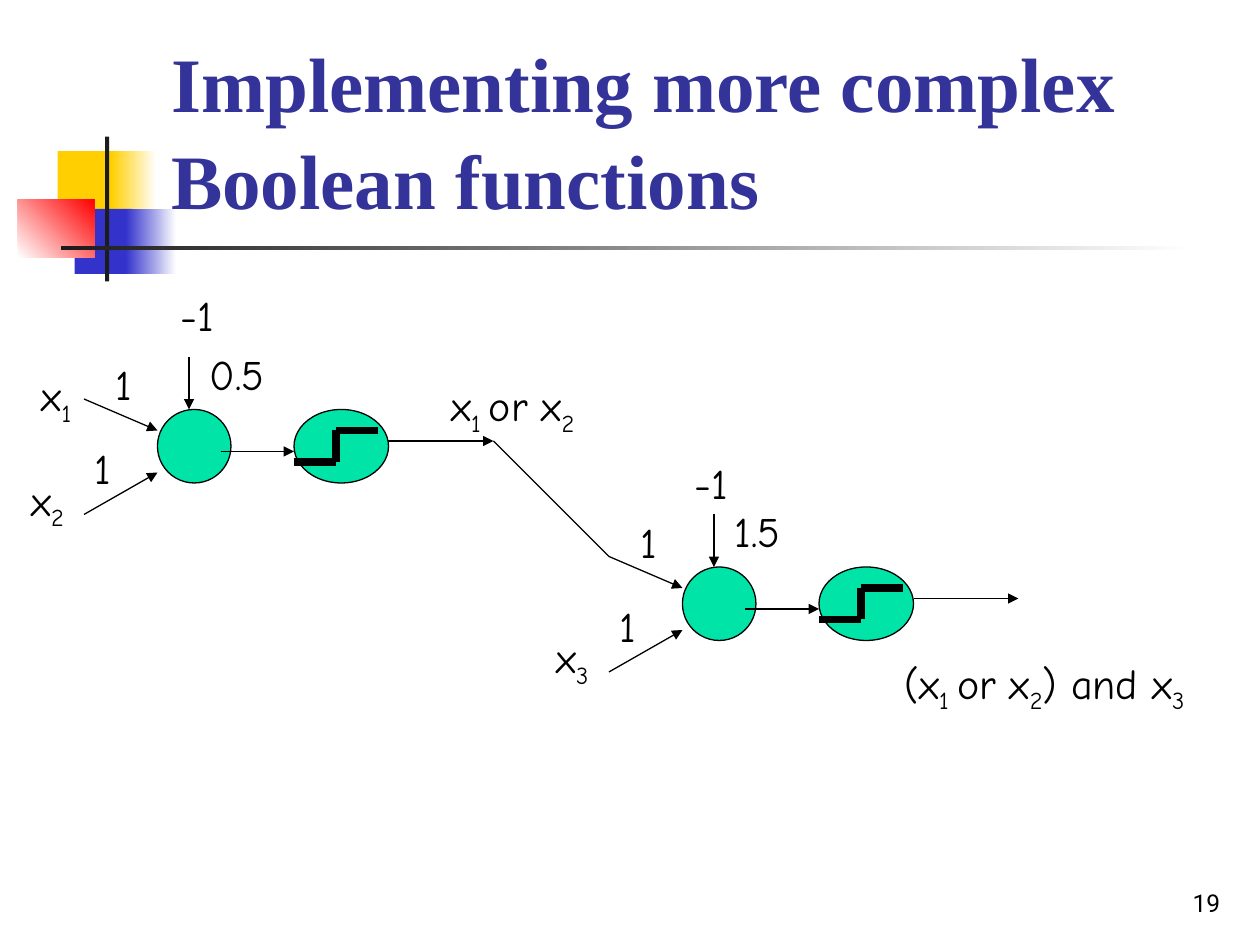
from pptx import Presentation
from pptx.dml.color import RGBColor
from pptx.enum.shapes import MSO_CONNECTOR, MSO_SHAPE
from pptx.enum.text import MSO_ANCHOR, MSO_AUTO_SIZE, PP_ALIGN
from pptx.oxml.ns import qn
from pptx.util import Pt
from lxml import etree

PX = 914400 // 120
RECT, OVAL = MSO_SHAPE.RECTANGLE, MSO_SHAPE.OVAL
LINE = MSO_CONNECTOR.STRAIGHT
BOTTOM, LEFT, RIGHT = MSO_ANCHOR.BOTTOM, PP_ALIGN.LEFT, PP_ALIGN.RIGHT
GROW, FIXED = MSO_AUTO_SIZE.SHAPE_TO_FIT_TEXT, MSO_AUTO_SIZE.NONE

BLACK = RGBColor(0, 0, 0)
WHITE = RGBColor(255, 255, 255)
COAL = RGBColor(0x1C, 0x1C, 0x1C)
GOLD = RGBColor(0xFF, 0xCF, 0x01)
BLUE = RGBColor(0x33, 0x33, 0xCC)
RED = RGBColor(255, 0, 0)
NAVY = RGBColor(0x33, 0x33, 0x99)
GREEN = RGBColor(0, 0xE4, 0xA8)

HEAD = {"name": "Times New Roman", "size": Pt(44), "bold": True}
LABEL = {"name": "Comic Neue", "size": Pt(24)}
NUMBER = {"name": "Roboto", "size": Pt(14)}

DECOR = [
    ((55, 144, 58, 62), (GOLD,), 0),
    ((106, 144, 43, 62), (GOLD, WHITE), 0),
    ((71, 199, 55, 62), (BLUE,), 0),
    ((120, 199, 48, 62), (BLUE, WHITE), 0),
    ((17, 190, 73, 55), (WHITE, RED), 45),
    ((100, 130, 4, 138), (COAL,), 0),
    ((58, 234, 1080, 4), (COAL, WHITE), 0),
]
ARROWS = [
    (210, 430, 280, 430),
    (80, 490, 150, 450),
    (80, 380, 150, 410),
    (180, 340, 180, 390),
    (370, 420, 470, 420),
]
STEPS = [
    (280, 440, 320, 440),
    (320, 410, 360, 410),
    (320, 440, 320, 410),
]
UNITS = [(0, 0, "x|2", "0.5"), (500, 150, "x|3", "1.5")]
LABELS = [
    (28, 346, 60, "x|1"),
    (160, 270, 59, "-1"),
    (418, 356, 160, "x|1 |or x|2"),
    (650, 430, 59, "-1"),
    (850, 620, 317, "(x|1 |or x|2|) and x|3"),
]


def scale(*nums):
    return [n * PX for n in nums]


def style(part, form):
    for key, val in form.items():
        setattr(part, key, val)


def shape(slide, kind, box, tones, turn=0, edge=False):
    item = slide.shapes.add_shape(kind, *scale(*box))
    item.shadow.inherit = False
    if len(tones) == 1:
        item.fill.solid()
        item.fill.fore_color.rgb = tones[0]
    else:
        item.fill.gradient()
        item.fill.gradient_angle = turn
        for stop, tone in zip(item.fill.gradient_stops, tones):
            stop.color.rgb = tone
    if edge:
        item.line.color.rgb = BLACK
        item.line.width = Pt(0.75)
    else:
        item.line.fill.background()


def line(slide, ends, width=0.75, arrow=False):
    item = slide.shapes.add_connector(LINE, *scale(*ends))
    item.line.color.rgb = BLACK
    item.line.width = Pt(width)
    if arrow:
        tip = etree.SubElement(item.line._get_or_add_ln(), qn("a:tailEnd"))
        tip.set("type", "triangle")
    etree.SubElement(item._element.spPr, qn("a:effectLst"))


def text(slide, box, words, font, frame, align=LEFT):
    item = slide.shapes.add_textbox(*scale(*box))
    style(item.text_frame, frame)
    para = item.text_frame.paragraphs[0]
    para.alignment = align
    for i, part in enumerate(words.split("|")):
        run = para.add_run()
        run.text = part
        style(run.font, font)
        run.font.color.rgb = BLACK
        if i % 2:
            run.font._element.set("baseline", "-25000")


def label(slide, x, y, wide, words):
    frame = {"word_wrap": False, "auto_size": GROW}
    text(slide, (x, y, wide, 60), words, LABEL, frame)


def title(slide, box, words):
    item = slide.shapes.title
    for key, val in zip(("left", "top", "width", "height"), scale(*box)):
        setattr(item, key, val)
    frame = item.text_frame
    frame.text = words
    style(frame, {"word_wrap": True, "auto_size": FIXED,
                  "vertical_anchor": BOTTOM})
    para = frame.paragraphs[0]
    style(para, {"alignment": LEFT, "line_spacing": 1.05})
    style(para.runs[0].font, HEAD)
    para.runs[0].font.color.rgb = NAVY
    slide.shapes._spTree.append(item._element)


def neuron(slide, dx, dy, source, limit):
    def shift(ends):
        return [n + d for n, d in zip(ends, (dx, dy, dx, dy))]

    for x, wide in ((150, 70), (280, 90)):
        shape(slide, OVAL, (x + dx, 390 + dy, wide, 70), (GREEN,), edge=True)
    for ends in STEPS:
        line(slide, shift(ends), 4.5)
    for ends in ARROWS:
        line(slide, shift(ends), arrow=True)
    for x, y, wide, words in ((18, 446, 64, source), (98, 336, 42, "1"),
                              (78, 416, 42, "1"), (188, 326, 80, limit)):
        label(slide, x + dx, y + dy, wide, words)


def main():
    deck = Presentation()
    deck.slide_width, deck.slide_height = scale(1200, 900)
    slide = deck.slides.add_slide(deck.slide_layouts[5])
    for box, tones, turn in DECOR:
        shape(slide, RECT, box, tones, turn)
    title(slide, (151, 28, 1022, 192),
          "Implementing more complex Boolean functions")
    text(slide, (924, 820, 250, 60), "19", NUMBER,
         {"word_wrap": True, "vertical_anchor": BOTTOM}, RIGHT)
    for unit in UNITS:
        neuron(slide, *unit)
    line(slide, (470, 420, 580, 530))
    for item in LABELS:
        label(slide, *item)
    deck.save("out.pptx")


if __name__ == "__main__":
    main()
